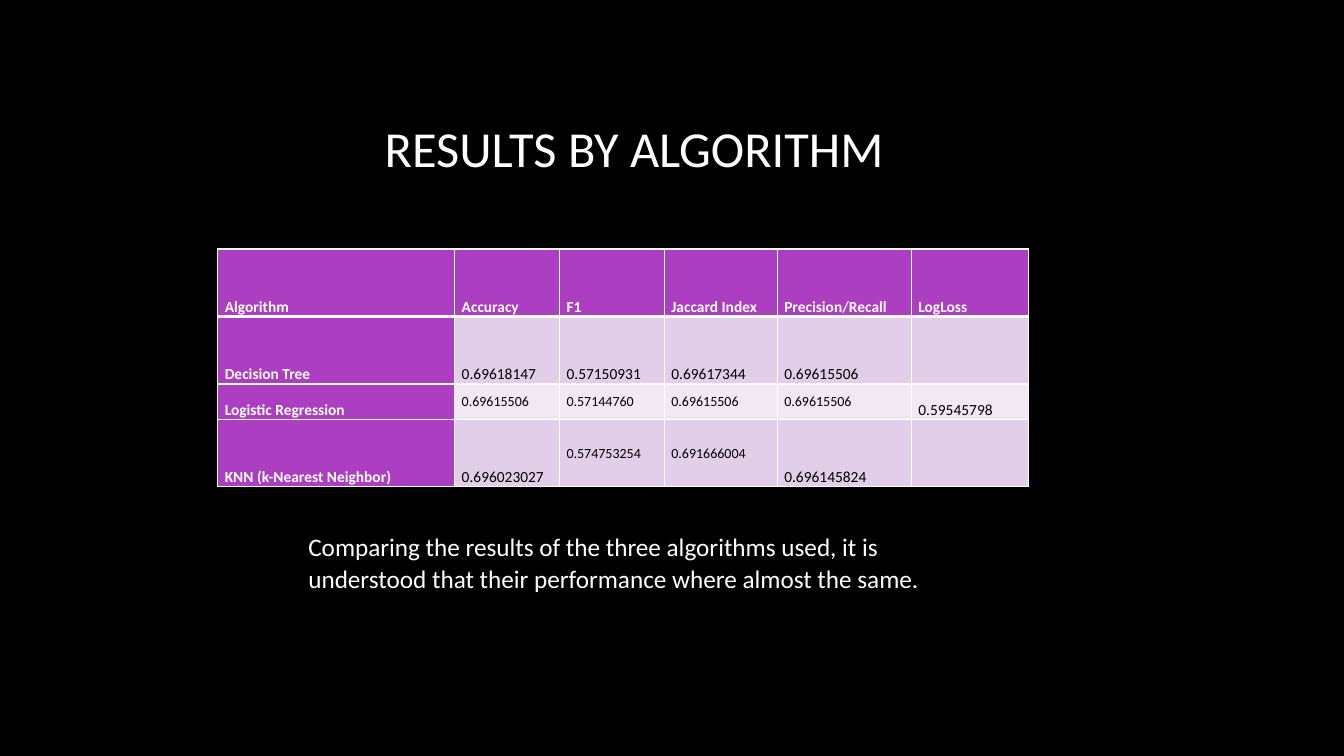
import dataclasses

import lxml.etree
import pptx
import pptx.dml.color
import pptx.enum.text
import pptx.oxml.ns
import pptx.presentation
import pptx.slide
import pptx.table
import pptx.text.text
import pptx.util

RGBColor = pptx.dml.color.RGBColor
Anchor = pptx.enum.text.MSO_ANCHOR
Align = pptx.enum.text.PP_ALIGN
AutoSize = pptx.enum.text.MSO_AUTO_SIZE

PX = 9144
FONT = "Calibri"
BLACK = RGBColor(0x00, 0x00, 0x00)
WHITE = RGBColor(0xFF, 0xFF, 0xFF)
PURPLE = RGBColor(0xAC, 0x3E, 0xC1)
LILAC = RGBColor(0xE3, 0xCE, 0xE9)
PALE_LILAC = RGBColor(0xF1, 0xE8, 0xF4)

COLUMN_WIDTHS = (235, 104, 104, 112, 133, 116)
HEADINGS = ("Algorithm", "Accuracy", "F1", "Jaccard Index", "Precision/Recall", "LogLoss")


@dataclasses.dataclass(frozen=True)
class Row:
    texts: tuple[str, ...]
    height: int
    fill: RGBColor
    small_columns: tuple[int, ...] = ()


ROWS = (
    Row(HEADINGS, 67, PURPLE),
    Row(("Decision Tree", "0.69618147", "0.57150931", "0.69617344", "0.69615506", ""),
        67, LILAC),
    Row(("Logistic Regression", "0.69615506", "0.57144760", "0.69615506", "0.69615506",
         "0.59545798"), 35, PALE_LILAC, (1, 2, 3, 4)),
    Row(("KNN (k-Nearest Neighbor)", "0.696023027", "0.574753254", "0.691666004",
         "0.696145824", ""), 67, LILAC, (2, 3)),
)


def px(n: int) -> pptx.util.Emu:
    return pptx.util.Emu(n * PX)


def write(tf: pptx.text.text.TextFrame, text: str, *, size: int, color: RGBColor = WHITE,
          bold: bool = False, align: Align = Align.LEFT, line_spacing: float = 1.07,
          space_after: int = 8) -> None:
    p = tf.paragraphs[0]
    p.alignment = align
    p.line_spacing = line_spacing
    p.space_after = pptx.util.Pt(space_after)
    p.font.size = pptx.util.Pt(size)
    if not text:
        return
    r = p.add_run()
    r.text = text
    r.font.name = FONT
    r.font.size = pptx.util.Pt(size)
    r.font.bold = bold
    r.font.color.rgb = color


def add_text_box(s: pptx.slide.Slide, x: int, y: int, w: int, h: int) -> pptx.text.text.TextFrame:
    tf = s.shapes.add_textbox(px(x), px(y), px(w), px(h)).text_frame
    tf.word_wrap = True
    return tf


def set_borders(cell: pptx.table._Cell, top: int, bottom: int) -> None:
    qn = pptx.oxml.ns.qn
    tc_pr = cell._tc.get_or_add_tcPr()
    for side, width in (("L", 1), ("R", 1), ("T", top), ("B", bottom)):
        ln = lxml.etree.SubElement(tc_pr, qn(f"a:ln{side}"), w=str(pptx.util.Pt(width)))
        fill = lxml.etree.SubElement(ln, qn("a:solidFill"))
        lxml.etree.SubElement(fill, qn("a:srgbClr"), val=str(WHITE))


def fill_cell(cell: pptx.table._Cell, row: Row, i: int, j: int) -> None:
    label = i == 0 or j == 0
    small = j in row.small_columns
    cell.margin_left = cell.margin_right = px(7)
    cell.margin_top = cell.margin_bottom = 0
    cell.vertical_anchor = Anchor.MIDDLE if small else Anchor.BOTTOM
    set_borders(cell, top=3 if i == 1 else 1, bottom=3 if i == 0 else 1)
    cell.fill.solid()
    cell.fill.fore_color.rgb = PURPLE if label else row.fill
    write(cell.text_frame, row.texts[j], size=10 if small else 11,
          color=WHITE if label else BLACK, bold=label)


def add_results_table(s: pptx.slide.Slide, x: int, y: int) -> None:
    width = sum(COLUMN_WIDTHS)
    height = sum(row.height for row in ROWS)
    table = s.shapes.add_table(len(ROWS), len(COLUMN_WIDTHS),
                               px(x), px(y), px(width), px(height)).table
    table.first_row = table.horz_banding = False
    for column, column_width in zip(table.columns, COLUMN_WIDTHS):
        column.width = px(column_width)
    for i, row in enumerate(ROWS):
        table.rows[i].height = px(row.height)
        for j in range(len(COLUMN_WIDTHS)):
            fill_cell(table.cell(i, j), row, i, j)


def build() -> pptx.presentation.Presentation:
    """Build the slide that compares the results of the three algorithms."""
    prs = pptx.Presentation()
    prs.slide_width, prs.slide_height = px(1333), px(750)
    s = prs.slides.add_slide(prs.slide_layouts[6])
    s.background.fill.solid()
    s.background.fill.fore_color.rgb = BLACK

    title = add_text_box(s, 75, 67, 1108, 159)
    title.vertical_anchor = Anchor.MIDDLE
    write(title, "RESULTS BY ALGORITHM", size=36, align=Align.CENTER,
          line_spacing=1.0, space_after=0)

    add_results_table(s, 216, 247)

    comment = add_text_box(s, 296, 520, 667, 73)
    comment.auto_size = AutoSize.SHAPE_TO_FIT_TEXT
    write(comment, "Comparing the results of the three algorithms used, it is understood "
          "that their performance where almost the same.", size=18)
    return prs


if __name__ == "__main__":
    build().save("out.pptx")
